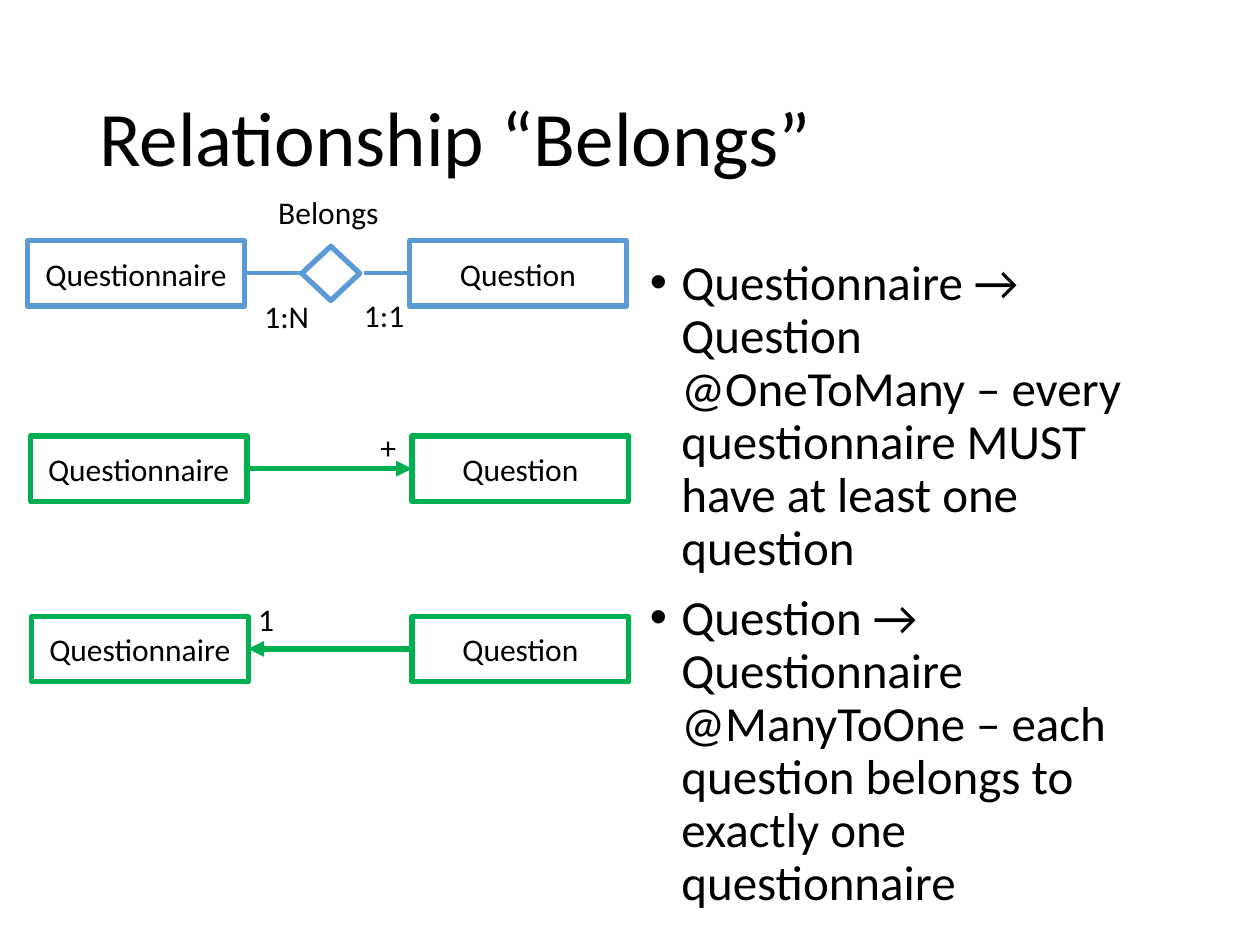
from lxml import etree
from pptx import Presentation
from pptx.dml.color import RGBColor
from pptx.enum.shapes import MSO_CONNECTOR, MSO_SHAPE
from pptx.enum.text import MSO_ANCHOR, MSO_AUTO_SIZE, PP_ALIGN
from pptx.oxml.ns import qn
from pptx.util import Inches, Pt

BLUE, GREEN, WHITE, BLACK = "5B9BD5", "00B050", "FFFFFF", "000000"
BOX_WIDTH, BOX_HEIGHT = 1.72, 0.52


def color(value):
    """Turn a hex string into a colour."""
    return RGBColor.from_string(value)


def write(paragraph, text, size):
    """Fill a paragraph with black Calibri text."""
    paragraph.text = text
    for run in paragraph.runs:
        run.font.name = "Calibri"
        run.font.size = Pt(size)
        run.font.color.rgb = color(BLACK)


def add_text_frame(slide, left, top, width, height):
    """Add a text box and return its text frame."""
    box = slide.shapes.add_textbox(Inches(left), Inches(top), Inches(width), Inches(height))
    return box.text_frame


def add_title(slide, text):
    """Add the slide title."""
    frame = add_text_frame(slide, 0.69, 0.4, 8.62, 1.45)
    frame.word_wrap = True
    frame.vertical_anchor = MSO_ANCHOR.MIDDLE
    write(frame.paragraphs[0], text, 44)
    frame.paragraphs[0].line_spacing = 0.9


def add_bullets(slide, items):
    """Add the bulleted explanation."""
    frame = add_text_frame(slide, 5.06, 2, 4.25, 5.39)
    frame.word_wrap = True
    for index, item in enumerate(items):
        paragraph = frame.add_paragraph() if index else frame.paragraphs[0]
        write(paragraph, item, 28)
        paragraph.line_spacing = 0.9
        paragraph.space_before = Pt(10)
        properties = paragraph._p.get_or_add_pPr()
        properties.set("marL", str(Inches(0.25)))
        properties.set("indent", str(-Inches(0.25)))
        etree.SubElement(properties, qn("a:buFont"), typeface="Arial")
        etree.SubElement(properties, qn("a:buChar"), char="•")


def add_label(slide, text, left, top, width):
    """Add a one-line label."""
    frame = add_text_frame(slide, left, top, width, 0.4)
    frame.word_wrap = False
    frame.auto_size = MSO_AUTO_SIZE.SHAPE_TO_FIT_TEXT
    write(frame.paragraphs[0], text, 18)


def add_outlined(slide, kind, left, top, width, height, line, fill=None):
    """Add an outlined preset shape."""
    shape = slide.shapes.add_shape(kind, Inches(left), Inches(top), Inches(width), Inches(height))
    shape.shadow.inherit = False
    if fill:
        shape.fill.solid()
        shape.fill.fore_color.rgb = color(fill)
    else:
        shape.fill.background()
    shape.line.color.rgb = color(line)
    shape.line.width = Pt(3)
    return shape


def add_entities(slide, questionnaire_left, question_left, top, line, fill=None):
    """Add the pair of entity boxes of one diagram."""
    for name, left in (("Question", question_left), ("Questionnaire", questionnaire_left)):
        box = add_outlined(slide, MSO_SHAPE.RECTANGLE, left, top, BOX_WIDTH, BOX_HEIGHT, line, fill)
        box.text_frame.vertical_anchor = MSO_ANCHOR.MIDDLE
        paragraph = box.text_frame.paragraphs[0]
        paragraph.alignment = PP_ALIGN.CENTER
        write(paragraph, name, 18)


def add_link(slide, start, end, y, line, width, arrow=False):
    """Add a horizontal line, with an arrowhead at its end if asked."""
    link = slide.shapes.add_connector(
        MSO_CONNECTOR.STRAIGHT, Inches(start), Inches(y), Inches(end), Inches(y))
    link.line.color.rgb = color(line)
    link.line.width = Pt(width)
    if arrow:
        etree.SubElement(link.line._get_or_add_ln(), qn("a:tailEnd"), type="triangle")
    etree.SubElement(link._element.spPr, qn("a:effectLst"))


def main():
    """Build the slide."""
    presentation = Presentation()
    presentation.slide_width, presentation.slide_height = Inches(10), Inches(7.5)
    slide = presentation.slides.add_slide(presentation.slide_layouts[6])
    add_title(slide, "Relationship “Belongs”")
    add_bullets(slide, [
        "Questionnaire → Question\n@OneToMany – every questionnaire MUST have at least one question",
        "Question → Questionnaire @ManyToOne – each question belongs to exactly one questionnaire",
    ])

    add_entities(slide, 0.22, 3.25, 1.91, BLUE, WHITE)
    diamond = add_outlined(slide, MSO_SHAPE.DIAMOND, 2.41, 1.94, 0.43, 0.46, BLUE, WHITE)
    diamond.rotation = 90
    for start, end in ((3.25, 2.89), (2.4, 1.94)):
        add_link(slide, start, end, 2.17, BLUE, 2.25)

    add_entities(slide, 0.24, 3.27, 3.46, GREEN)
    add_link(slide, 1.96, 3.27, 3.72, GREEN, 3, arrow=True)
    add_entities(slide, 0.25, 3.27, 4.89, GREEN)
    add_link(slide, 3.27, 1.97, 5.15, GREEN, 3, arrow=True)

    for label in (("1:1", 2.79, 2.3, 0.53), ("1:N", 2, 2.31, 0.56), ("Belongs", 2.11, 1.48, 1.01),
                  ("+", 2.92, 3.35, 0.33), ("1", 1.95, 4.71, 0.33)):
        add_label(slide, *label)
    presentation.save("out.pptx")


main()
